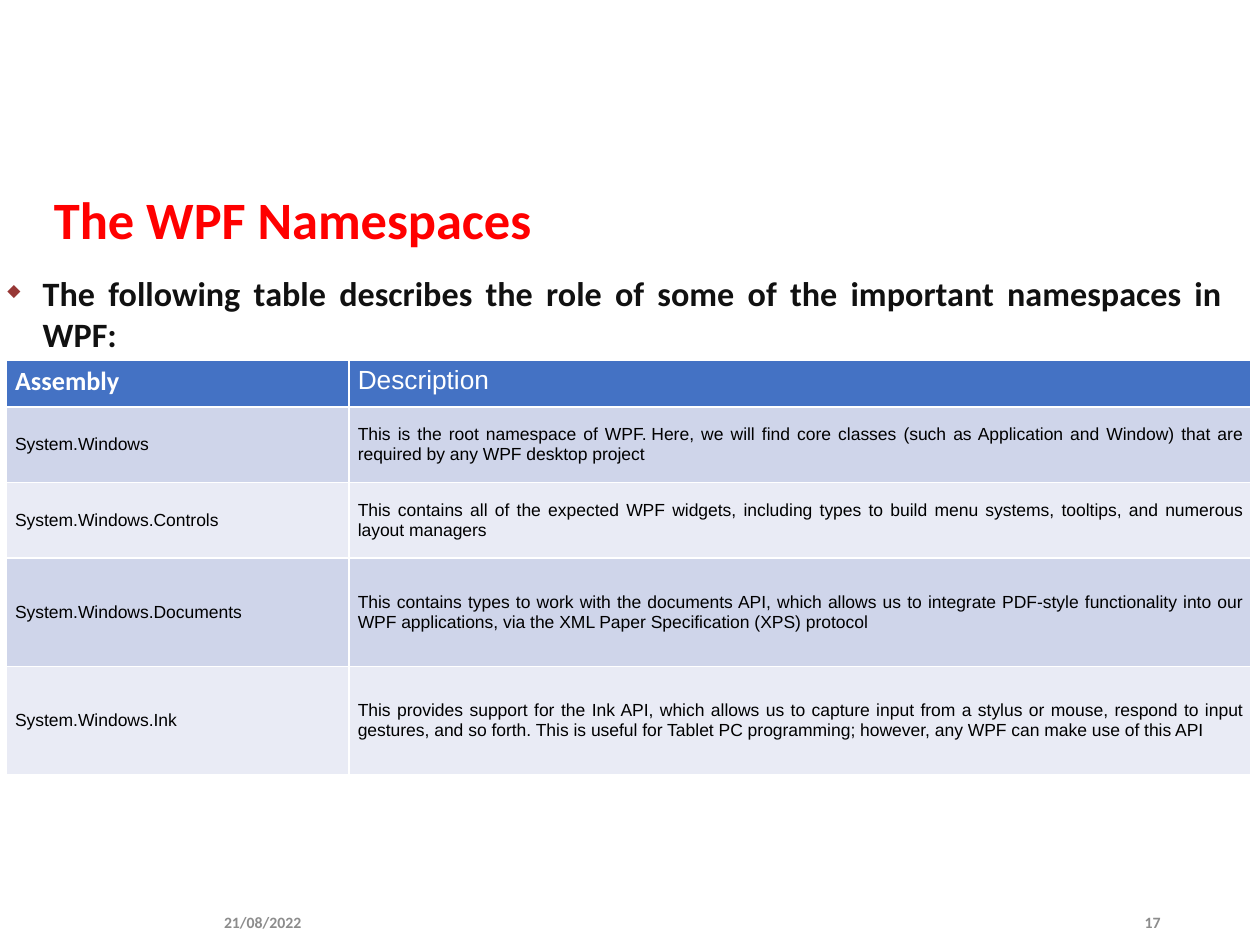
import dataclasses

import lxml.etree
import pptx
import pptx.dml.color
import pptx.enum.text
import pptx.oxml.ns
import pptx.util

ALIGN = pptx.enum.text.PP_ALIGN
ANCHOR = pptx.enum.text.MSO_ANCHOR
inches = pptx.util.Inches
qualified = pptx.oxml.ns.qn


@dataclasses.dataclass(frozen=True)
class Theme:
    heading_font: str = "Calibri"
    body_font: str = "Arial"
    title: str = "FF0000"
    lead: str = "111111"
    bullet: str = "973735"
    footer: str = "8C8C8C"
    header: str = "4472C4"
    bands: tuple = ("CFD5EA", "E9EBF5")
    light: str = "FFFFFF"
    dark: str = "000000"
    title_size: float = 30
    lead_size: float = 19.5
    header_size: float = 15
    cell_size: float = 10
    footer_size: float = 9


THEME = Theme()

HEADINGS = ("Assembly", "Description")
NAMESPACES = (
    ("System.Windows",
     "This is the root namespace of WPF.\u00a0Here, we will find core classes (such as "
     "Application and Window) that are required by any WPF desktop project"),
    ("System.Windows.Controls",
     "This contains all of the expected WPF widgets, including types to build menu "
     "systems, tooltips, and numerous layout managers"),
    ("System.Windows.Documents",
     "This contains types to work with the documents API, which allows us to integrate "
     "PDF-style functionality into our WPF applications, via the XML Paper "
     "Specification (XPS) protocol"),
    ("System.Windows.Ink",
     "This provides support for the Ink API, which allows us to capture input from a "
     "stylus or mouse, respond to input gestures, and so forth. This is useful for "
     "Tablet PC programming; however, any WPF can make use of this API"),
)
COLUMN_WIDTHS = (2.72, 7.16)
ROW_HEIGHTS = (0.37, 0.6, 0.6, 0.86, 0.86)


def color(value):
    return pptx.dml.color.RGBColor.from_string(value)


def style_paragraph(paragraph, font, size, text_color, bold=False, align=ALIGN.LEFT):
    paragraph.alignment = align
    paragraph.font.name = font
    paragraph.font.size = pptx.util.Pt(size)
    paragraph.font.bold = bold
    paragraph.font.color.rgb = color(text_color)


def add_text(slide, box, text, size, text_color, align=ALIGN.LEFT, anchor=ANCHOR.MIDDLE):
    """Add a bold heading-font paragraph in a wrapping box and return its frame."""
    frame = slide.shapes.add_textbox(*map(inches, box)).text_frame
    frame.word_wrap = True
    frame.vertical_anchor = anchor
    paragraph = frame.paragraphs[0]
    paragraph.text = text
    style_paragraph(paragraph, THEME.heading_font, size, text_color, True, align)
    return frame


def add_bullet(paragraph, character, bullet_color, percent, indent):
    properties = paragraph._p.get_or_add_pPr()
    properties.set("marL", str(inches(indent)))
    properties.set("indent", str(-inches(indent)))
    parent = lxml.etree.SubElement(properties, qualified("a:buClr"))
    lxml.etree.SubElement(parent, qualified("a:srgbClr"), val=bullet_color)
    lxml.etree.SubElement(properties, qualified("a:buSzPct"), val=str(percent * 1000))
    lxml.etree.SubElement(properties, qualified("a:buChar"), char=character)
    default_run = properties.find(qualified("a:defRPr"))
    if default_run is not None:
        properties.append(default_run)


def add_title(slide, box):
    frame = add_text(slide, box, "The WPF Namespaces", THEME.title_size, THEME.title)
    frame.paragraphs[0].line_spacing = 0.9


def add_lead(slide, box):
    frame = add_text(
        slide, box,
        "The following table describes the role of some of the important namespaces in WPF:",
        THEME.lead_size, THEME.lead, ALIGN.JUSTIFY, ANCHOR.TOP)
    frame.margin_right = inches(0.24)
    paragraph = frame.paragraphs[0]
    paragraph.space_before = paragraph.space_after = pptx.util.Pt(4.5)
    add_bullet(paragraph, "◆", THEME.bullet, 50, 0.28)


def set_borders(cell, line_color, points):
    properties = cell._tc.get_or_add_tcPr()
    for index, side in enumerate(("lnL", "lnR", "lnT", "lnB")):
        line = lxml.etree.Element(qualified(f"a:{side}"), w=str(pptx.util.Pt(points)))
        fill = lxml.etree.SubElement(line, qualified("a:solidFill"))
        lxml.etree.SubElement(fill, qualified("a:srgbClr"), val=line_color)
        properties.insert(index, line)


def fill_cell(cell, text, background, anchor):
    cell.text = text
    cell.vertical_anchor = anchor
    cell.margin_left = cell.margin_right = inches(0.07)
    cell.margin_top = cell.margin_bottom = inches(0.04)
    cell.fill.solid()
    cell.fill.fore_color.rgb = color(background)
    set_borders(cell, THEME.light, 1)
    return cell.text_frame.paragraphs[0]


def add_namespace_table(slide, left, top):
    table = slide.shapes.add_table(
        len(ROW_HEIGHTS), len(COLUMN_WIDTHS), inches(left), inches(top),
        inches(sum(COLUMN_WIDTHS)), inches(sum(ROW_HEIGHTS))).table
    for column, width in zip(table.columns, COLUMN_WIDTHS):
        column.width = inches(width)
    for row, height in zip(table.rows, ROW_HEIGHTS):
        row.height = inches(height)

    header_fonts = ((THEME.heading_font, True), (THEME.body_font, False))
    for column, (text, (font, bold)) in enumerate(zip(HEADINGS, header_fonts)):
        paragraph = fill_cell(table.cell(0, column), text, THEME.header, ANCHOR.TOP)
        style_paragraph(paragraph, font, THEME.header_size, THEME.light, bold)

    for row, texts in enumerate(NAMESPACES, start=1):
        band = THEME.bands[(row - 1) % len(THEME.bands)]
        for column, (text, align) in enumerate(zip(texts, (ALIGN.LEFT, ALIGN.JUSTIFY))):
            paragraph = fill_cell(table.cell(row, column), text, band, ANCHOR.MIDDLE)
            style_paragraph(paragraph, THEME.body_font, THEME.cell_size, THEME.dark,
                            align=align)


def add_footer(slide, date_box, number_box):
    add_text(slide, date_box, "21/08/2022", THEME.footer_size, THEME.footer)
    add_text(slide, number_box, "17", THEME.footer_size, THEME.footer, ALIGN.RIGHT)


def main():
    presentation = pptx.Presentation()
    presentation.slide_width = inches(10)
    presentation.slide_height = inches(7.5)
    slide = presentation.slides.add_slide(presentation.slide_layouts[6])
    add_footer(slide, (1.68, 7.13, 1.26, 0.38), (7.06, 7.14, 2.25, 0.36))
    add_title(slide, (0.33, 1.53, 9.67, 0.47))
    add_lead(slide, (-0.04, 2.11, 9.99, 0.43))
    add_namespace_table(slide, 0.05, 2.86)
    presentation.save("out.pptx")


if __name__ == "__main__":
    main()
